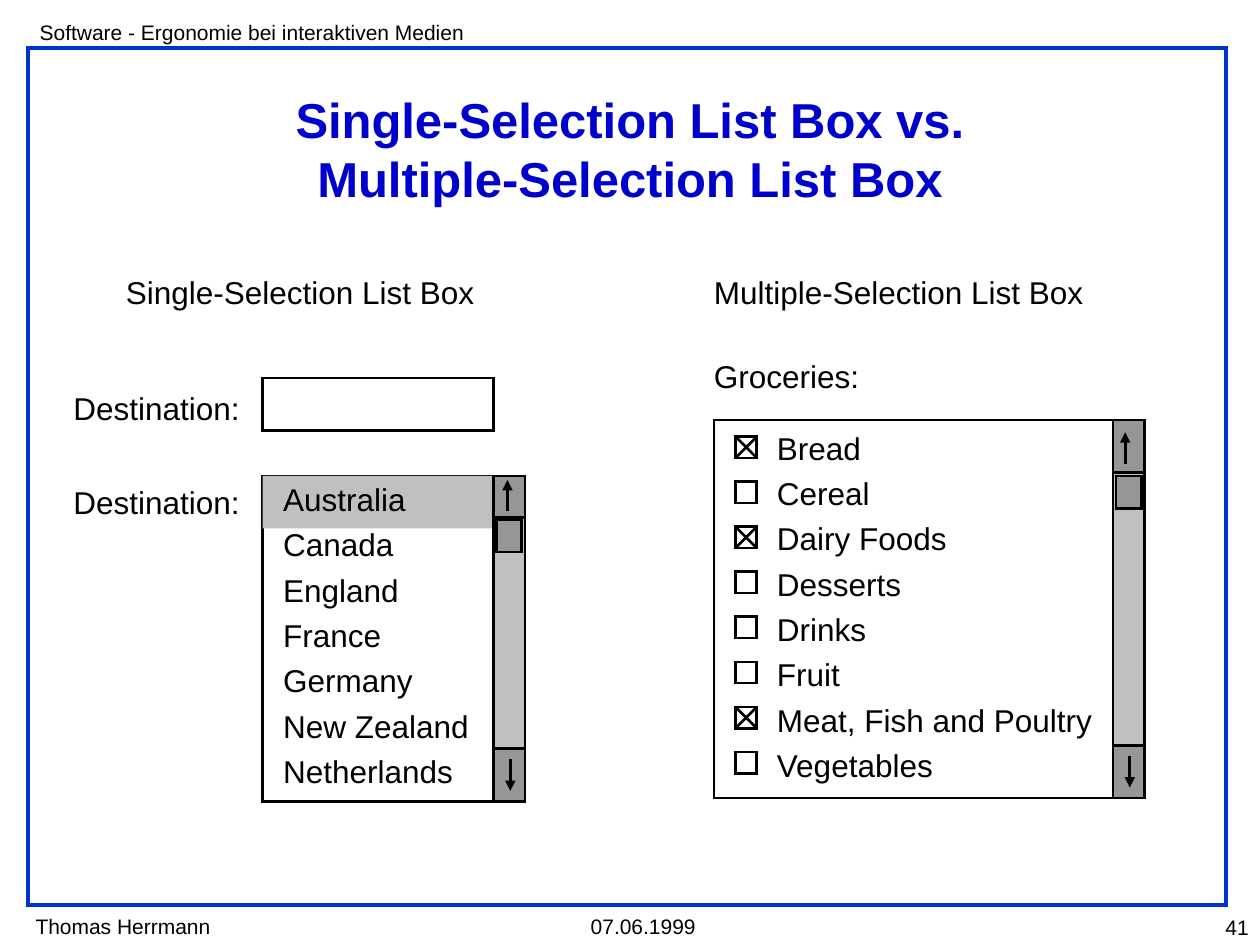
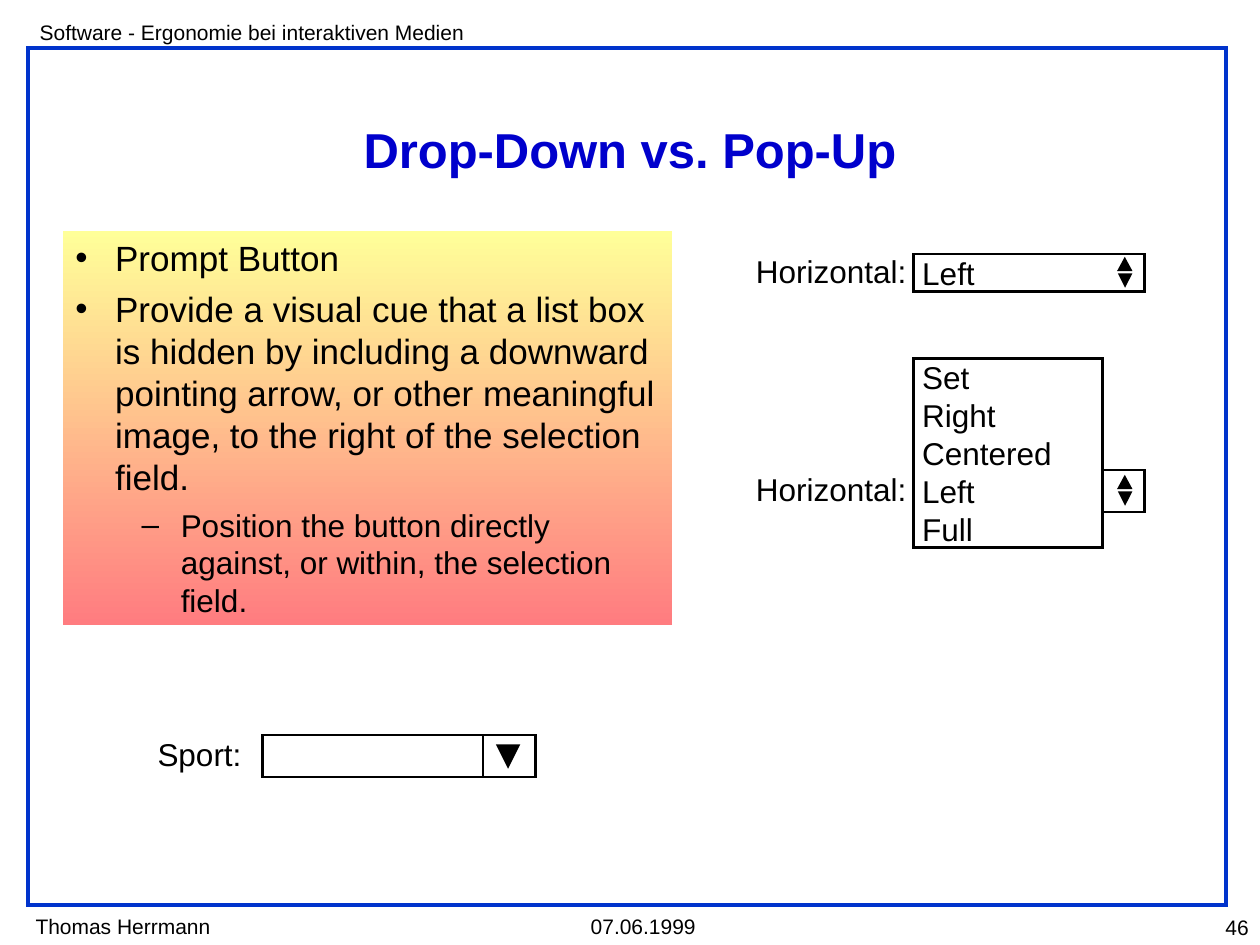
from collections.abc import Sequence
from dataclasses import dataclass

from lxml.etree import SubElement
from pptx import Presentation
from pptx.dml.color import RGBColor
from pptx.enum.shapes import MSO_CONNECTOR, MSO_SHAPE
from pptx.enum.text import MSO_ANCHOR, PP_ALIGN
from pptx.oxml.ns import qn
from pptx.shapes.autoshape import Shape
from pptx.slide import Slide
from pptx.text.text import TextFrame
from pptx.util import Pt

FONT = "Arial"
BLACK, WHITE = "000000", "FFFFFF"
FRAME_BLUE, TITLE_BLUE = "0033CC", "0000CC"
TRACK_GREY, BUTTON_GREY = "C0C0C0", "969696"
GRADIENT = ("FFFF99", "FF7C80")
LINE_WIDTH = 1.5
LABEL_HEIGHT = 21.6
LABEL_SLACK = 3
SPACE_WIDTH = 5
PADDED = (7.2, 3.6, 7.2, 3.6)
FLUSH = (0, 0, 0, 0)


@dataclass(frozen=True)
class Area:
    left: float
    top: float
    width: float
    height: float


@dataclass(frozen=True)
class Style:
    size: float = 18
    color: str = BLACK
    bold: bool = False
    align: PP_ALIGN = PP_ALIGN.LEFT
    anchor: MSO_ANCHOR = MSO_ANCHOR.MIDDLE
    margins: tuple[float, float, float, float] = FLUSH
    wrap: bool = False
    line_spacing: float = 1.0


@dataclass(frozen=True)
class ScrollBar:
    """The arrow tips point at the ends of the bar."""
    bar: Area
    track_top: float
    track_height: float
    thumb_top: float
    up_tip: tuple[float, float]
    down_tip: tuple[float, float]


@dataclass(frozen=True)
class Bullet:
    text: str
    level: int = 0


@dataclass(frozen=True)
class BulletStyle:
    mark: str
    left: float
    hanging: float
    size: float
    space_before: float


LABEL = Style(align=PP_ALIGN.CENTER)
LIST = Style(line_spacing=1.2)
FIELD = Style(margins=(SPACE_WIDTH, 0, 0, 0), wrap=True)
TITLE = Style(28, TITLE_BLUE, True, PP_ALIGN.CENTER, margins=PADDED, wrap=True)
FOOTER = Style(12, anchor=MSO_ANCHOR.TOP, margins=PADDED)
PAGE_NUMBER = Style(12, align=PP_ALIGN.RIGHT, anchor=MSO_ANCHOR.TOP, margins=PADDED)
BULLET_STYLES = (
    BulletStyle("•", 22.7, 22.7, 20, 5),
    BulletStyle("–", 60.2, 22.3, 18, 4.5),
)

COUNTRIES = ("Australia", "Canada", "England", "France", "Germany",
             "New Zealand", "Netherlands")
GROCERIES = {
    "Bread": True, "Cereal": False, "Dairy Foods": True, "Desserts": False,
    "Drinks": False, "Fruit": False, "Meat, Fish and Poultry": True,
    "Vegetables": False,
}
ALIGNMENTS = ("Set", "Right", "Centered", "Left", "Full")
PROMPT_BUTTON = (
    Bullet("Prompt Button"),
    Bullet("Provide a visual cue that a list box is hidden by including a downward "
           "pointing arrow, or other meaningful image, to the right of the "
           "selection field."),
    Bullet("Position the button directly against, or within, the selection field.", 1),
)
COUNTRY_BAR = ScrollBar(Area(282, 272, 18, 186), 295.7, 132, 296.8,
                        (290, 274.3), (291.6, 452))
GROCERY_BAR = ScrollBar(Area(636, 240, 18, 216), 270, 156, 272,
                        (643, 247), (645.6, 450))


def rgb(color: str) -> RGBColor:
    return RGBColor.from_string(color)


def place(area: Area) -> tuple[Pt, Pt, Pt, Pt]:
    return Pt(area.left), Pt(area.top), Pt(area.width), Pt(area.height)


def add_box(page: Slide, area: Area, fill: str | None = WHITE,
            line: str | None = BLACK, width: float = LINE_WIDTH,
            kind: MSO_SHAPE = MSO_SHAPE.RECTANGLE) -> Shape:
    box = page.shapes.add_shape(kind, *place(area))
    box.shadow.inherit = False
    if fill is None:
        box.fill.background()
    else:
        box.fill.solid()
        box.fill.fore_color.rgb = rgb(fill)
    if line is None:
        box.line.fill.background()
    else:
        box.line.color.rgb = rgb(line)
        box.line.width = Pt(width)
        SubElement(box.element.spPr.find(qn("a:ln")), qn("a:miter"), lim="800000")
    return box


def set_frame(frame: TextFrame, style: Style) -> None:
    frame.word_wrap = style.wrap
    frame.vertical_anchor = style.anchor
    (frame.margin_left, frame.margin_top,
     frame.margin_right, frame.margin_bottom) = map(Pt, style.margins)


def write(frame: TextFrame, lines: Sequence[str], style: Style) -> None:
    set_frame(frame, style)
    frame.text = "\n".join(lines)
    for paragraph in frame.paragraphs:
        paragraph.alignment = style.align
        paragraph.line_spacing = style.line_spacing
        for span in paragraph.runs:
            span.font.name = FONT
            span.font.size = Pt(style.size)
            span.font.bold = style.bold
            span.font.color.rgb = rgb(style.color)


def add_text(page: Slide, area: Area, style: Style, *lines: str) -> None:
    write(page.shapes.add_textbox(*place(area)).text_frame, lines, style)


def add_label(page: Slide, left: float, top: float, width: float, text: str) -> None:
    """Centre a label on its span, with some slack so that it stays on one line."""
    area = Area(left - LABEL_SLACK, top, width + 2 * LABEL_SLACK, LABEL_HEIGHT)
    add_text(page, area, LABEL, text)


def add_line(page: Slide, start: tuple[float, float], end: tuple[float, float],
             arrow: bool = False) -> None:
    line = page.shapes.add_connector(MSO_CONNECTOR.STRAIGHT, *map(Pt, start + end))
    line.line.color.rgb = rgb(BLACK)
    line.line.width = Pt(LINE_WIDTH)
    properties = line._element.spPr
    if arrow:
        SubElement(properties.find(qn("a:ln")), qn("a:tailEnd"), type="triangle")
    SubElement(properties, qn("a:effectLst"))


def add_triangle(page: Slide, area: Area, down: bool = False) -> None:
    triangle = add_box(page, area, BLACK, kind=MSO_SHAPE.ISOSCELES_TRIANGLE)
    if down:
        triangle.element.spPr.find(qn("a:xfrm")).set("flipV", "1")


def add_scroll_bar(page: Slide, scroll: ScrollBar) -> None:
    bar = scroll.bar
    add_box(page, bar, BUTTON_GREY)
    for (x, y), tail in ((scroll.up_tip, 18), (scroll.down_tip, -18)):
        add_line(page, (x, y + tail), (x, y), arrow=True)
    add_box(page, Area(bar.left, scroll.track_top, bar.width, scroll.track_height),
            TRACK_GREY)
    add_box(page, Area(bar.left + 1.8, scroll.thumb_top, 14.4, 18.7), BUTTON_GREY)


def add_check_box(page: Slide, left: float, top: float, checked: bool) -> None:
    size = 12.2
    right, bottom = left + size, top + size
    add_box(page, Area(left, top, size, size))
    if checked:
        add_line(page, (left, top), (right, bottom))
        add_line(page, (right, top), (left, bottom))


def add_spinner(page: Slide, top: float) -> None:
    """Draw the pair of up and down triangles that marks a pop-up list."""
    add_triangle(page, Area(640, top + 8.7, 5.8, 5.8), down=True)
    add_triangle(page, Area(639.6, top, 6.3, 5.8))


def add_bullets(page: Slide, area: Area, bullets: Sequence[Bullet]) -> None:
    panel = add_box(page, area, line=None)
    panel.fill.gradient()
    panel.fill.gradient_angle = 270
    for stop, color in zip(panel.fill.gradient_stops, GRADIENT):
        stop.color.rgb = rgb(color)
    frame = panel.text_frame
    set_frame(frame, Style(margins=PADDED, wrap=True))
    frame.text = "\n".join(bullet.text for bullet in bullets)
    for index, (paragraph, bullet) in enumerate(zip(frame.paragraphs, bullets)):
        style = BULLET_STYLES[bullet.level]
        properties = paragraph._p.get_or_add_pPr()
        properties.set("marL", str(Pt(style.left)))
        properties.set("indent", str(-Pt(style.hanging)))
        mark_color = SubElement(properties, qn("a:buClr"))
        SubElement(mark_color, qn("a:srgbClr"), val=BLACK)
        SubElement(properties, qn("a:buFont"), typeface=FONT)
        SubElement(properties, qn("a:buChar"), char=style.mark)
        paragraph.level = bullet.level
        paragraph.alignment = PP_ALIGN.LEFT
        paragraph.space_before = Pt(style.space_before if index else 0)
        paragraph.font.name = FONT
        for span in paragraph.runs:
            span.font.name = FONT
            span.font.size = Pt(style.size)
            span.font.color.rgb = rgb(BLACK)


def add_page(deck: Presentation, number: int, title_area: Area, title: str) -> Slide:
    page = deck.slides.add_slide(deck.slide_layouts[6])
    add_box(page, Area(16, 27.4, 684.7, 489.6), None, FRAME_BLUE, 2.25)
    add_text(page, Area(13.2, 518.4, 114.5, 21.6), FOOTER, "Thomas Herrmann")
    add_text(page, Area(15.6, 7.4, 266.4, 21.6), FOOTER,
             "Software - Ergonomie bei interaktiven Medien")
    add_text(page, Area(330.5, 518.4, 74.2, 21.6), FOOTER, "07.06.1999")
    add_text(page, Area(651.6, 519, 69.1, 21.6), PAGE_NUMBER, str(number))
    add_text(page, title_area, TITLE, title.replace("\n", "\v"))
    return page


def build_list_boxes(deck: Presentation) -> None:
    page = add_page(deck, 41, Area(36, 48, 648, 74),
                    "Single-Selection List Box vs.\nMultiple-Selection List Box")

    add_box(page, Area(150, 272, 150, 186))
    add_box(page, Area(150, 272, 132, 30), TRACK_GREY, None)
    add_text(page, Area(161.8, 270, 118, 181.4), LIST, *COUNTRIES)
    add_scroll_bar(page, COUNTRY_BAR)
    add_box(page, Area(150, 216, 132, 30))
    for top in (222.2, 276):
        add_label(page, 42, top, 95, "Destination:")
    add_label(page, 72, 156.2, 199, "Single-Selection List Box")

    add_label(page, 408, 156.2, 211, "Multiple-Selection List Box")
    add_label(page, 408, 204.2, 83, "Groceries:")
    add_box(page, Area(408, 240, 246, 216))
    add_text(page, Area(444, 240.5, 190, 207.4), LIST, *GROCERIES)
    add_scroll_bar(page, GROCERY_BAR)
    for row, checked in enumerate(GROCERIES.values()):
        add_check_box(page, 420.3, 249.5 + 25.75 * row, checked)


def build_drop_down(deck: Presentation) -> None:
    page = add_page(deck, 46, Area(36, 65, 648, 40.5), "Drop-Down vs. Pop-Up")
    add_bullets(page, Area(36, 132, 348, 225), PROMPT_BUTTON)

    add_label(page, 432, 144, 86, "Horizontal:")
    closed = add_box(page, Area(522, 145.1, 132, 21.6))
    write(closed.text_frame, ["Left"], FIELD)
    add_spinner(page, 148.3)

    add_box(page, Area(630, 268.5, 24, 24))
    add_label(page, 432, 268.5, 86, "Horizontal:")
    opened = add_box(page, Area(522, 204.8, 108, 108))
    write(opened.text_frame, ALIGNMENTS, FIELD)
    add_spinner(page, 272.9)

    add_label(page, 90, 420, 48, "Sport:")
    add_box(page, Area(150, 420, 156, 24))
    add_box(page, Area(276, 420, 30, 24))
    add_triangle(page, Area(284.6, 426.2, 11.5, 11.5), down=True)


def main() -> None:
    deck = Presentation()
    deck.slide_width, deck.slide_height = Pt(720), Pt(540)
    build_list_boxes(deck)
    build_drop_down(deck)
    deck.save("out.pptx")


if __name__ == "__main__":
    main()
